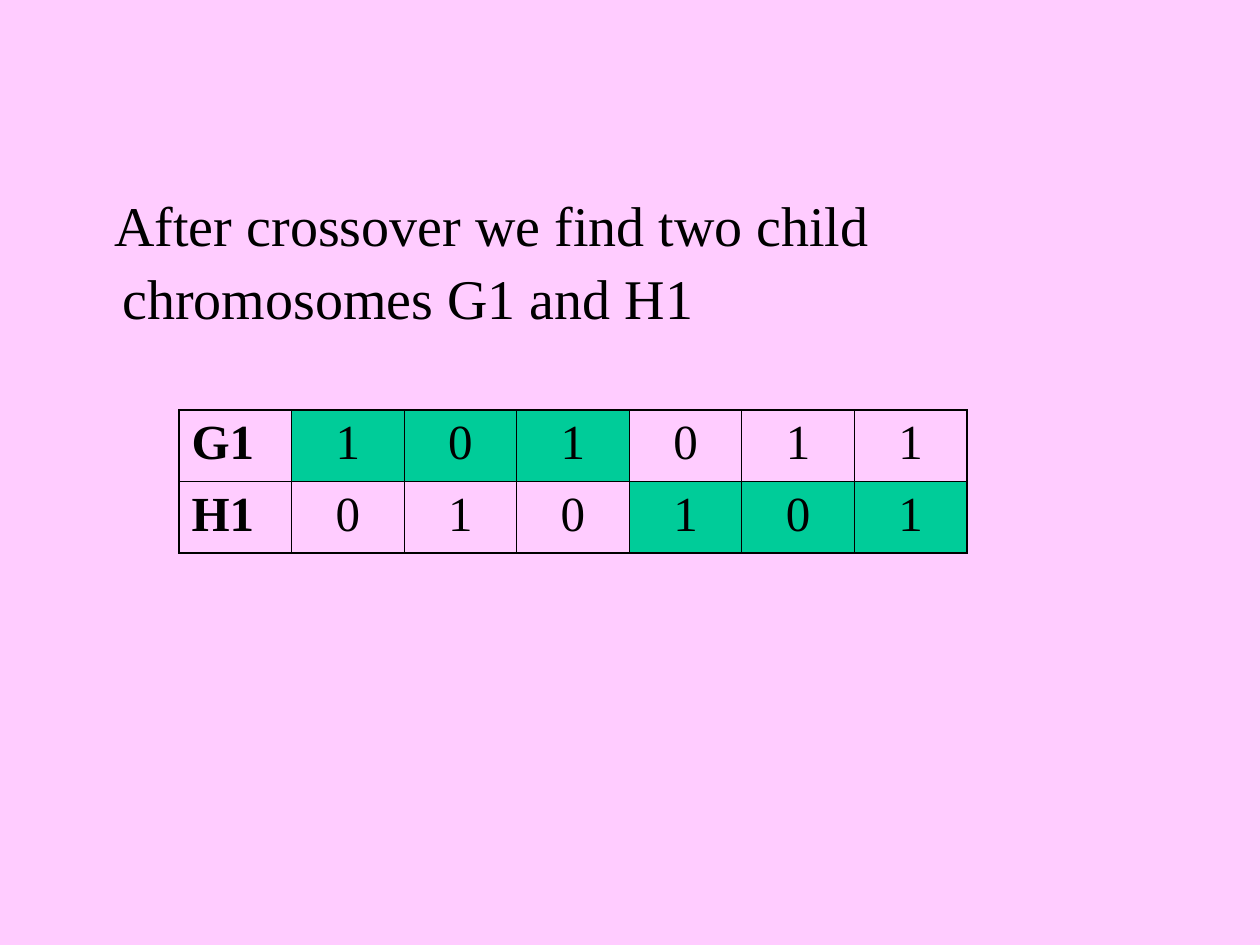
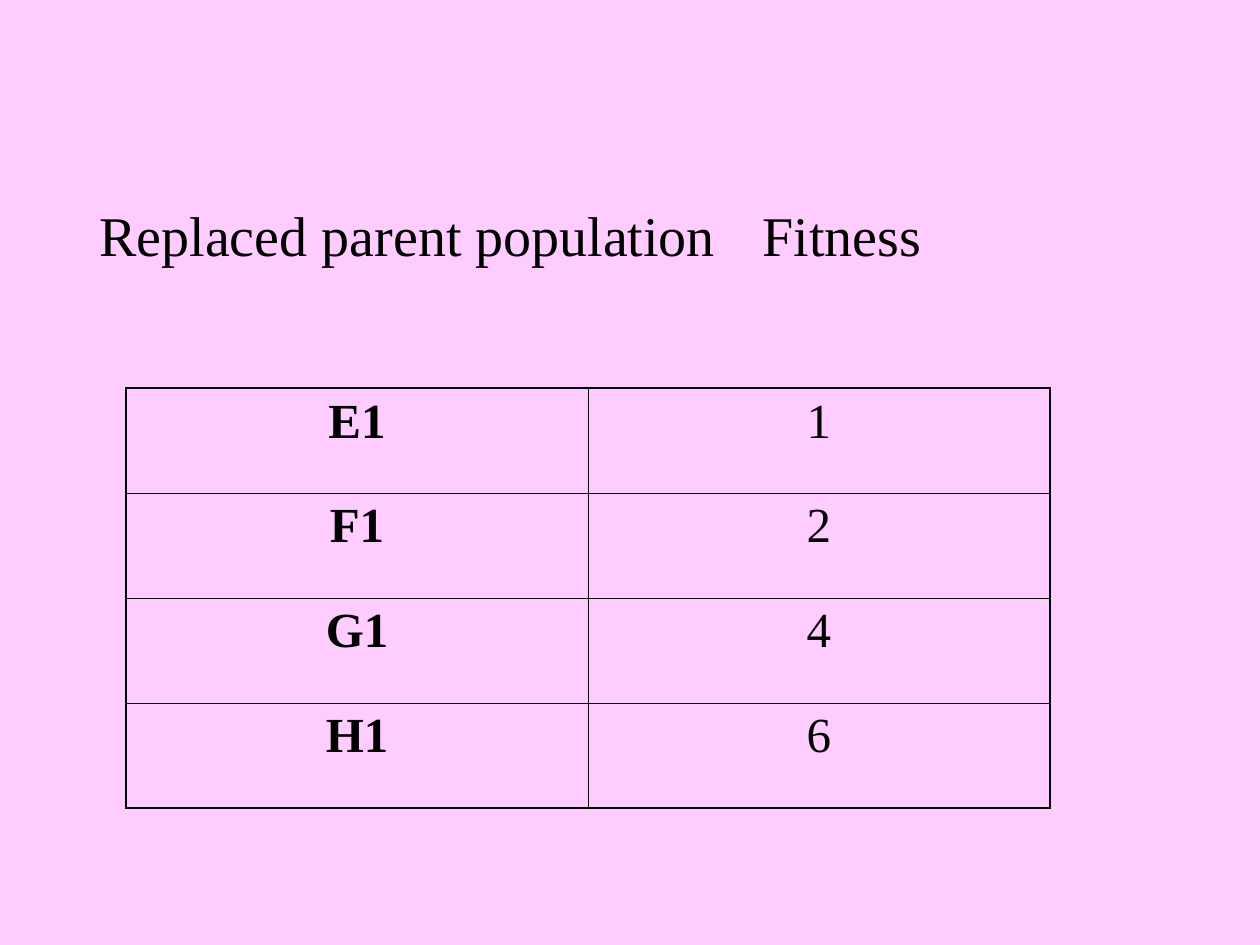
"""Build two slides on the children and fitness values that follow a crossover."""

from collections.abc import Mapping
from dataclasses import dataclass
from typing import Any

from lxml import etree
from pptx import Presentation, util as u
from pptx.dml.color import RGBColor
from pptx.enum import text
from pptx.oxml import ns

PX = 914400 / 126


@dataclass(frozen=True)
class Theme:
    """Colours, font, type sizes and line widths."""

    background: str = "FFCCFF"
    ink: str = "000000"
    highlight: str = "00CC99"
    font: str = "Times New Roman"
    heading_size: int = 32
    cell_size: int = 28
    outer_line: float = 1.08
    inner_line: float = 0.45


@dataclass(frozen=True)
class Box:
    """A rectangle in px."""

    left: int
    top: int
    width: int
    height: int

    def emu(self) -> tuple[int, ...]:
        """Return the rectangle in EMU."""
        return tuple(px(n) for n in (self.left, self.top, self.width, self.height))


@dataclass(frozen=True)
class Heading:
    """Text with a hanging indent and an optional tab stop."""

    words: str
    box: Box
    first_indent: int
    tab: int = 0


@dataclass(frozen=True)
class Row:
    """A labelled table row with a highlighted span of columns."""

    label: str
    values: str
    marked: range = range(0)


@dataclass(frozen=True)
class Grid:
    """A table of rows with equal cells."""

    box: Box
    rows: tuple[Row, ...]
    label_align: text.PP_ALIGN


@dataclass(frozen=True)
class Page:
    """One slide: a heading above a table."""

    heading: Heading
    grid: Grid


THEME = Theme()
HANGING = 47
CENTER = text.PP_ALIGN.CENTER
PAGES = (
    Page(
        Heading("After crossover we find two child chromosomes G1 and H1",
                Box(63, 179, 1102, 661), -8),
        Grid(Box(179, 410, 788, 143),
             (Row("G1", "101011", range(1, 4)), Row("H1", "010101", range(4, 7))),
             text.PP_ALIGN.LEFT),
    ),
    Page(
        Heading("Replaced parent population\tFitness", Box(73, 189, 1092, 651), -33, 630),
        Grid(Box(126, 388, 924, 420),
             (Row("E1", "1"), Row("F1", "2"), Row("G1", "4"), Row("H1", "6")),
             CENTER),
    ),
)


def px(length: int) -> int:
    """Turn px into EMU."""
    return round(length * PX)


def apply(target: Any, formats: Mapping[str, Any]) -> None:
    """Set every format value on the target."""
    for name, value in formats.items():
        setattr(target, name, value)


def write(paragraph: Any, words: str, size: int, bold: bool, formats: Mapping[str, Any]) -> None:
    """Fill a paragraph with one styled run."""
    apply(paragraph, formats)
    run = paragraph.add_run()
    run.text = words
    apply(run.font, {"name": THEME.font, "size": u.Pt(size), "bold": bold})
    run.font.color.rgb = RGBColor.from_string(THEME.ink)


def draw_heading(slide: Any, heading: Heading) -> None:
    """Draw the heading text."""
    frame = slide.shapes.add_textbox(*heading.box.emu()).text_frame
    apply(frame, {"word_wrap": True, "auto_size": text.MSO_AUTO_SIZE.NONE})
    paragraph = frame.paragraphs[0]
    write(paragraph, heading.words, THEME.heading_size, False,
          {"line_spacing": 1.08, "space_before": u.Pt(8)})
    properties = paragraph._p.get_or_add_pPr()
    properties.set("marL", str(px(HANGING)))
    properties.set("indent", str(px(heading.first_indent)))
    if heading.tab:
        stops = etree.SubElement(properties, ns.qn("a:tabLst"))
        etree.SubElement(stops, ns.qn("a:tab"), pos=str(px(heading.tab)), algn="l")


def draw_borders(cell: Any, outer_sides: Mapping[str, bool]) -> None:
    """Give a cell its four borders, thicker on the outer sides."""
    properties = cell._tc.get_or_add_tcPr()
    for position, (side, outer) in enumerate(outer_sides.items()):
        width = u.Pt(THEME.outer_line if outer else THEME.inner_line)
        line = etree.Element(ns.qn(f"a:ln{side}"), w=str(int(width)))
        fill = etree.SubElement(line, ns.qn("a:solidFill"))
        etree.SubElement(fill, ns.qn("a:srgbClr"), val=THEME.ink)
        properties.insert(position, line)


def draw_grid(slide: Any, grid: Grid) -> None:
    """Draw a table with bold labels and highlighted cells."""
    row_count, column_count = len(grid.rows), 1 + len(grid.rows[0].values)
    table = slide.shapes.add_table(row_count, column_count, *grid.box.emu()).table
    apply(table, {"first_row": False, "horz_banding": False})
    for i, row in enumerate(grid.rows):
        for j, words in enumerate((row.label, *row.values)):
            cell = table.cell(i, j)
            if j in row.marked:
                cell.fill.solid()
                cell.fill.fore_color.rgb = RGBColor.from_string(THEME.highlight)
            else:
                cell.fill.background()
            draw_borders(cell, {"L": j == 0, "R": j == column_count - 1,
                                "T": i == 0, "B": i == row_count - 1})
            write(cell.text_frame.paragraphs[0], words, THEME.cell_size, j == 0,
                  {"alignment": CENTER if j else grid.label_align, "space_before": u.Pt(7)})


def main() -> None:
    """Build and save the presentation."""
    presentation = Presentation()
    apply(presentation, {"slide_width": px(1260), "slide_height": px(945)})
    for page in PAGES:
        slide = presentation.slides.add_slide(presentation.slide_layouts[6])
        slide.background.fill.solid()
        slide.background.fill.fore_color.rgb = RGBColor.from_string(THEME.background)
        draw_heading(slide, page.heading)
        draw_grid(slide, page.grid)
    presentation.save("out.pptx")


if __name__ == "__main__":
    main()
